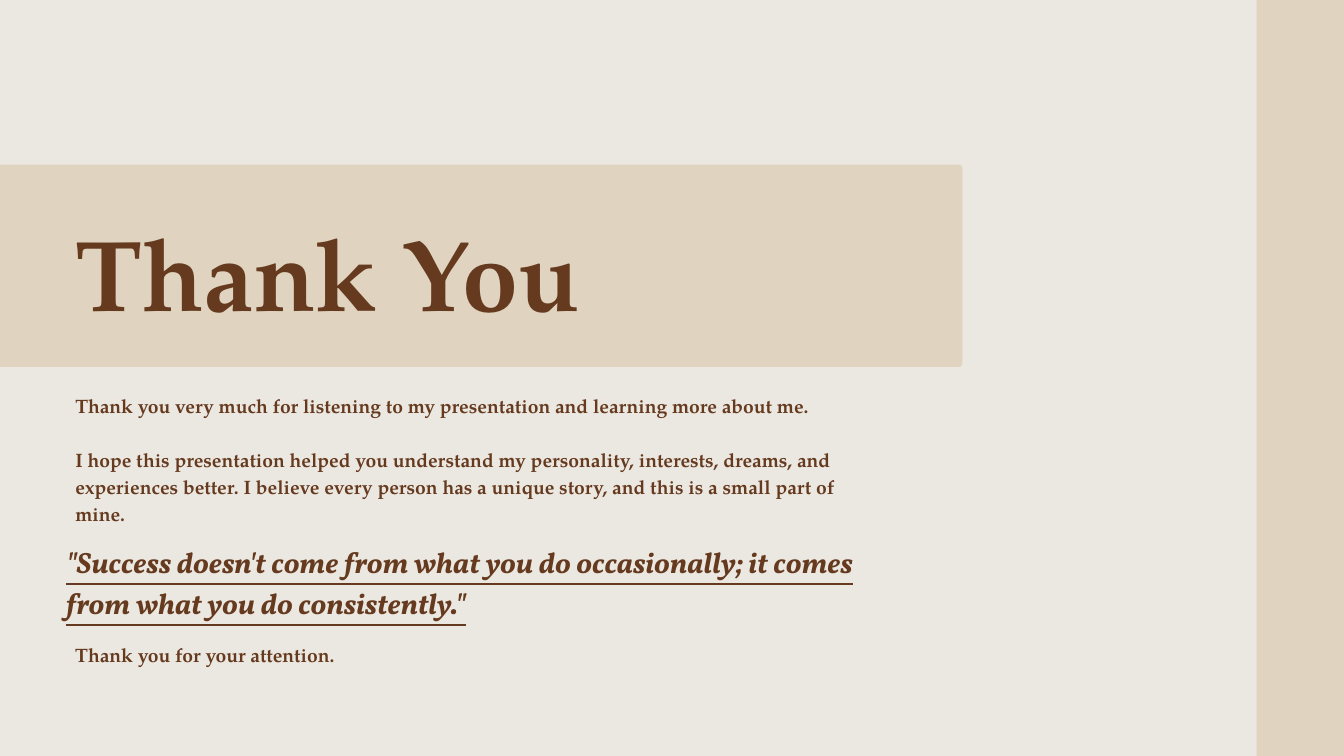
from pptx import Presentation
from pptx.dml.color import RGBColor
from pptx.enum import shapes, text
from pptx.util import Inches, Pt

CREAM = RGBColor(0xEB, 0xE7, 0xE1)
SAND = RGBColor(0xE0, 0xD3, 0xBF)
BROWN = RGBColor(0x65, 0x3A, 0x1E)
SERIF, QUOTE_FONT = "TeX Gyre Pagella", "Vollkorn"
CORNER = 0.05

BANDS = [(-4.41, 2.45, 18.73, 3.01), (18.7, -1.4, 18.73, 14.04)]
TITLE = ["Thank You"]
THANKS = [
    "Thank you very much for listening to my presentation and learning more about me.",
    "I hope this presentation helped you understand my personality, interests, dreams, "
    "and experiences better. I believe every person has a unique story, and this is a "
    "small part of mine.",
]
QUOTE = [
    "\"Success doesn't come from what you do occasionally; "
    "it comes from what you do consistently.\""
]
CLOSING = ["Thank you for your attention."]

TITLE_STYLE = dict(font=SERIF, size=107.8, leading=150.9)
BODY_STYLE = dict(font=SERIF, size=20.7, leading=29)
QUOTE_STYLE = dict(font=QUOTE_FONT, size=31.5, leading=44.1, accent=True)

PASSAGES = [
    ((1.12, 5.81, 11.69, 1.95), THANKS, BODY_STYLE),
    ((0.98, 8.01, 11.99, 1.19), QUOTE, QUOTE_STYLE),
    ((1.12, 9.51, 4.94, 0.37), CLOSING, BODY_STYLE),
]


def add_band(slide, area):
    band = slide.shapes.add_shape(
        shapes.MSO_SHAPE.ROUNDED_RECTANGLE, *map(Inches, area))
    band.adjustments[0] = CORNER / min(area[2:])
    band.shadow.inherit = False
    band.fill.solid()
    band.fill.fore_color.rgb = SAND
    band.line.fill.background()


def write(frame, paragraphs, font, size, leading, accent=False):
    frame.margin_left = frame.margin_right = 0
    frame.margin_top = frame.margin_bottom = 0
    frame.word_wrap = True
    frame.auto_size = text.MSO_AUTO_SIZE.NONE
    frame.vertical_anchor = text.MSO_ANCHOR.TOP
    for i, words in enumerate(paragraphs):
        paragraph = frame.add_paragraph() if i else frame.paragraphs[0]
        paragraph.alignment = text.PP_ALIGN.LEFT
        paragraph.line_spacing = Pt(leading)
        paragraph.space_before = Pt(leading if i else 0)
        run = paragraph.add_run()
        run.text = words
        run.font.name = font
        run.font.size = Pt(size)
        run.font.bold = True
        run.font.italic = run.font.underline = accent
        run.font.color.rgb = BROWN


def main():
    deck = Presentation()
    deck.slide_width, deck.slide_height = Inches(20), Inches(11.25)
    slide = deck.slides.add_slide(deck.slide_layouts[5])
    slide.background.fill.solid()
    slide.background.fill.fore_color.rgb = CREAM

    for area in BANDS:
        add_band(slide, area)

    title = slide.shapes.title
    title.left, title.top, title.width, title.height = map(
        Inches, (1.12, 2.84, 8.71, 2.01))
    write(title.text_frame, TITLE, **TITLE_STYLE)
    slide.shapes._spTree.append(title._element)

    for area, paragraphs, style in PASSAGES:
        passage = slide.shapes.add_textbox(*map(Inches, area))
        write(passage.text_frame, paragraphs, **style)

    deck.save("out.pptx")


if __name__ == "__main__":
    main()
